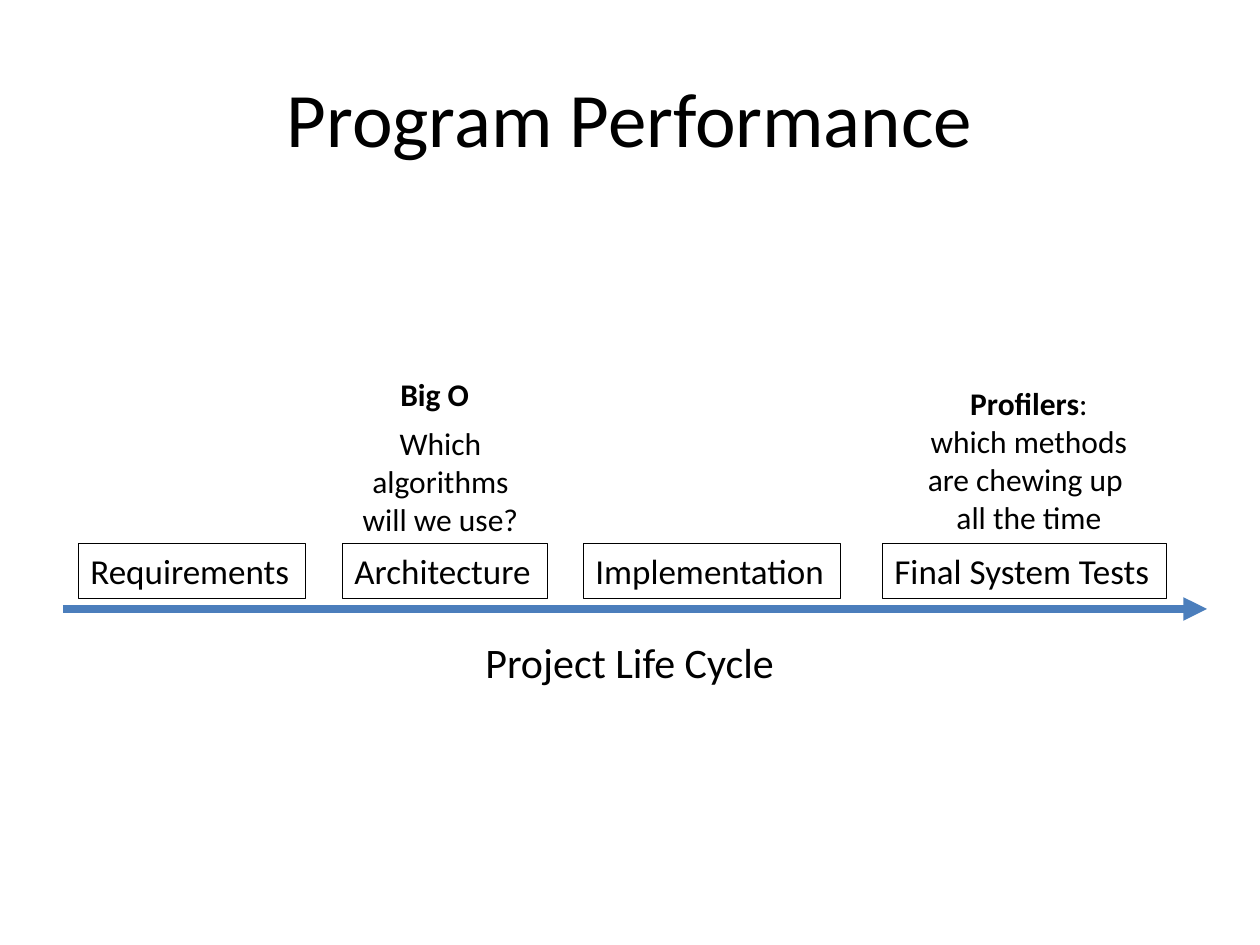
from lxml.etree import SubElement
from pptx import Presentation
from pptx.dml.color import RGBColor
from pptx.enum.shapes import MSO_CONNECTOR, MSO_SHAPE
from pptx.enum.text import MSO_ANCHOR, PP_ALIGN
from pptx.oxml.ns import qn
from pptx.util import Emu, Pt

PX = 914400 // 126
BLACK = RGBColor(0x00, 0x00, 0x00)
BLUE = RGBColor(0x4B, 0x7E, 0xBC)
FONT = "Calibri"

# Each line is a list of (text, bold) runs.
TITLE = [[("Program Performance", False)]]
AXIS_LABEL = [[("Project Life Cycle", False)]]
BIG_O = [[("Big O", True)]]
ALGORITHMS = [[("Which", False)], [("algorithms", False)], [("will we use?", False)]]
PROFILERS = [
    [("Profilers", True), (":", False)],
    [("which methods", False)],
    [("are chewing up ", False)],
    [("all the time", False)],
]

# Phase name, left, width
PHASES = [
    ("Requirements", 78, 227),
    ("Architecture", 342, 205),
    ("Implementation", 583, 257),
    ("Final System Tests", 882, 284),
]
PHASE_TOP, PHASE_HEIGHT = 543, 55
TIMELINE_LEFT, TIMELINE_RIGHT, TIMELINE_Y = 63, 1207, 609


def px(*lengths):
    """Turn pixel lengths into EMU."""
    return [Emu(length * PX) for length in lengths]


def add_text(slide, lines, box, size, align=PP_ALIGN.LEFT, anchor=MSO_ANCHOR.TOP,
             wrap=False, outline=None):
    """Add lines of text at box (left, top, width, height), outlined if asked."""
    if outline is None:
        shape = slide.shapes.add_textbox(*px(*box))
    else:
        shape = slide.shapes.add_shape(MSO_SHAPE.RECTANGLE, *px(*box))
        shape.shadow.inherit = False
        shape.fill.background()
        shape.line.color.rgb = outline
        shape.line.width = Pt(0.25)
    frame = shape.text_frame
    frame.word_wrap = wrap
    frame.vertical_anchor = anchor
    for number, runs in enumerate(lines):
        paragraph = frame.paragraphs[0] if number == 0 else frame.add_paragraph()
        paragraph.alignment = align
        for text, bold in runs:
            run = paragraph.add_run()
            run.text = text
            run.font.name = FONT
            run.font.size = Pt(size)
            run.font.bold = bold
            run.font.color.rgb = BLACK


def add_timeline(slide):
    """Draw the arrow that runs under the phases."""
    arrow = slide.shapes.add_connector(
        MSO_CONNECTOR.STRAIGHT,
        *px(TIMELINE_LEFT, TIMELINE_Y, TIMELINE_RIGHT, TIMELINE_Y))
    arrow.line.color.rgb = BLUE
    arrow.line.width = Pt(4.5)
    SubElement(arrow.line._get_or_add_ln(), qn("a:tailEnd"), type="triangle")
    SubElement(arrow._element.spPr, qn("a:effectLst"))


def main():
    """Build and save the slide."""
    deck = Presentation()
    deck.slide_width, deck.slide_height = px(1260, 945)
    slide = deck.slides.add_slide(deck.slide_layouts[6])

    add_text(slide, TITLE, (63, 38, 1134, 157), 44, align=PP_ALIGN.CENTER,
             anchor=MSO_ANCHOR.MIDDLE, wrap=True)
    add_timeline(slide)
    add_text(slide, AXIS_LABEL, (473, 630, 317, 63), 24)
    for name, left, width in PHASES:
        add_text(slide, [[(name, False)]], (left, PHASE_TOP, width, PHASE_HEIGHT),
                 20, outline=BLACK)
    add_text(slide, ALGORITHMS, (346, 418, 189, 127), 18, align=PP_ALIGN.CENTER)
    add_text(slide, PROFILERS, (914, 378, 230, 165), 18, align=PP_ALIGN.CENTER)
    add_text(slide, BIG_O, (388, 369, 95, 50), 18)

    deck.save("out.pptx")


main()
